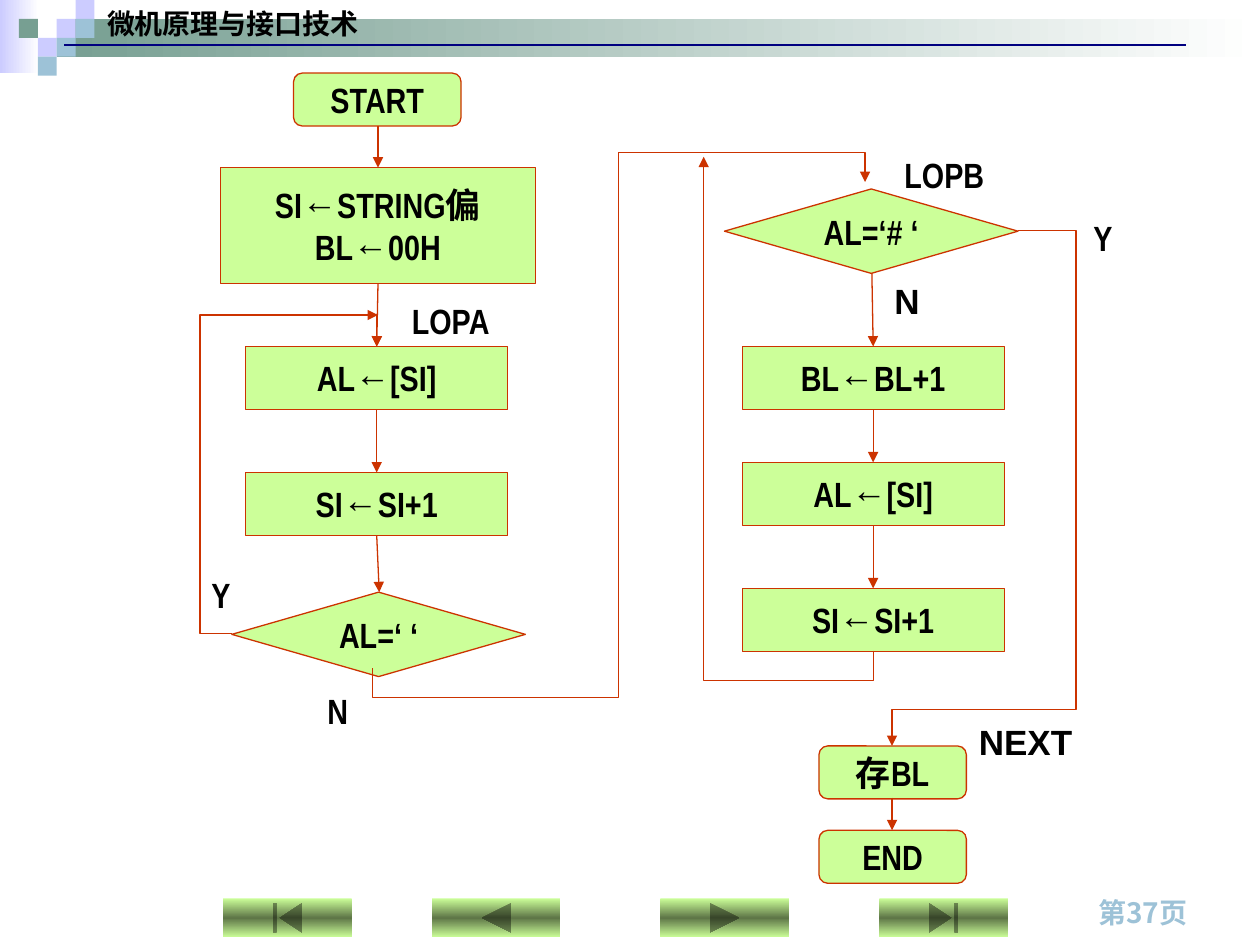
"""Build the flowchart slide on counting the characters of a string."""
from copy import deepcopy
from lxml import etree
from pptx import Presentation
from pptx.dml.color import RGBColor as Rgb
from pptx.enum import shapes as kinds, text as enum
from pptx.oxml.ns import qn
from pptx.util import Pt

PX = 9144
KIND = kinds.MSO_SHAPE


class Theme:
    box = Rgb.from_string("CCFF99")
    edge = Rgb.from_string("CC3300")
    ink = Rgb.from_string("000000")
    navy = Rgb.from_string("000080")
    lilac = Rgb.from_string("CCCCFF")
    green = Rgb.from_string("779F92")
    blue = Rgb.from_string("9DC2D7")
    olive = Rgb.from_string("5E7647")
    white = Rgb.from_string("FFFFFF")
    font, wide, asian = "Arial Narrow", "Arial", "Noto Sans CJK SC"
    small, big = Pt(16), Pt(20)
    thin, rule = Pt(0.75), Pt(1.25)


def write(shape, words, size=Theme.big, font=Theme.font, color=Theme.ink,
          align=enum.PP_ALIGN.LEFT, anchor=enum.MSO_ANCHOR.TOP, wrap=True):
    frame = shape.text_frame
    frame.text = words
    frame.auto_size = enum.MSO_AUTO_SIZE.NONE
    frame.word_wrap = wrap
    frame.vertical_anchor = anchor
    for para in frame.paragraphs:
        para.alignment = align
        for run in para.runs:
            run.font.size, run.font.name, run.font.bold = size, font, True
            run.font.color.rgb = color
            props = run.font.fill._xPr
            props.find(qn("a:latin")).addnext(
                etree.Element(qn("a:ea"), typeface=Theme.asian))


def link(start, stop, color=Theme.edge, width=Theme.thin, head=True,
         bends=(), turn=0):
    line = slide.shapes.add_connector(
        kinds.MSO_CONNECTOR.ELBOW if bends else kinds.MSO_CONNECTOR.STRAIGHT,
        *(n * PX for n in start + stop))
    line.line.color.rgb, line.line.width = color, width
    props = line.element.spPr
    if head:
        etree.SubElement(props.find(qn("a:ln")), qn("a:tailEnd"), type="triangle")
    etree.SubElement(props, qn("a:effectLst"))
    if bends:
        geom = props.find(qn("a:prstGeom"))
        geom.set("prst", f"bentConnector{len(bends) + 2}")
        guides = geom.find(qn("a:avLst"))
        for i, bend in enumerate(bends, 1):
            etree.SubElement(guides, qn("a:gd"), name=f"adj{i}",
                             fmla=f"val {round(bend * 100000)}")
        if len(bends) == 1:
            guides[0].set("name", "adj1")
        props.find(qn("a:xfrm")).set("rot", str(turn * 60000))


deck = Presentation()
deck.slide_width, deck.slide_height = 1000 * PX, 750 * PX
slide = deck.slides.add_slide(deck.slide_layouts[5])

bars = [
    (KIND.RECTANGLE, 0, 0, 31, 58, 0, (Theme.lilac, Theme.white)),
    (KIND.RECTANGLE, 45, 15, 955, 30, 0, (Theme.green, Theme.white)),
]
for kind, x in (
    (KIND.ACTION_BUTTON_BEGINNING, 177),
    (KIND.ACTION_BUTTON_BACK_OR_PREVIOUS, 343),
    (KIND.ACTION_BUTTON_FORWARD_OR_NEXT, 524),
    (KIND.ACTION_BUTTON_END, 698),
):
    bars.append((kind, x, 713, 102, 31, 90, (Theme.box, Theme.olive, Theme.box)))
for kind, x, y, w, h, angle, tints in bars:
    bar = slide.shapes.add_shape(kind, x * PX, y * PX, w * PX, h * PX)
    bar.shadow.inherit = False
    bar.line.fill.background()
    bar.fill.gradient()
    bar.fill.gradient_angle = angle
    stops = bar.element.spPr.find(qn("a:gradFill")).find(qn("a:gsLst"))
    while len(stops) < len(tints):
        stops.insert(1, deepcopy(stops[0]))
    for i, tint in enumerate(tints):
        stop = bar.fill.gradient_stops[i]
        stop.position = i / (len(tints) - 1)
        stop.color.rgb = tint

TILE = 15
for col, row, tint in (
    (3, 1, Theme.lilac), (4, 0, Theme.lilac), (4, 1, Theme.blue),
    (2, 2, Theme.lilac), (1, 1, Theme.green), (3, 2, Theme.blue),
    (2, 3, Theme.blue),
):
    tile = slide.shapes.add_shape(KIND.RECTANGLE, col * TILE * PX,
                                  row * TILE * PX, TILE * PX, TILE * PX)
    tile.shadow.inherit = False
    tile.fill.solid()
    tile.fill.fore_color.rgb = tint
    tile.line.fill.background()

title = slide.shapes.title
title.left, title.top, title.width, title.height = 75 * PX, 0, 866 * PX, 37 * PX
write(title, "微机原理与接口技术", size=Theme.small, font=Theme.asian)
slide.shapes._spTree.append(title.element)
link((51, 36), (941, 36), color=Theme.navy, width=Theme.rule, head=False)

PILL = KIND.FLOWCHART_ALTERNATE_PROCESS
RECT = KIND.RECTANGLE
TEST = KIND.FLOWCHART_DECISION
for kind, x, y, w, h, words in (
    (PILL, 233, 58, 133, 42, "START"),
    (RECT, 175, 133, 250, 92, "SI←STRING偏\nBL←00H"),
    (RECT, 195, 275, 208, 50, "AL←[SI]"),
    (RECT, 195, 375, 208, 50, "SI←SI+1"),
    (TEST, 184, 470, 233, 67, "AL=‘ ‘"),
    (TEST, 575, 150, 233, 67, "AL=‘# ‘"),
    (RECT, 589, 275, 208, 50, "BL←BL+1"),
    (RECT, 589, 367, 208, 50, "AL←[SI]"),
    (RECT, 589, 467, 208, 50, "SI←SI+1"),
    (PILL, 650, 592, 117, 42, "存BL"),
    (PILL, 650, 659, 117, 42, "END"),
):
    step = slide.shapes.add_shape(kind, x * PX, y * PX, w * PX, h * PX)
    step.shadow.inherit = False
    step.fill.solid()
    step.fill.fore_color.rgb = Theme.box
    step.line.color.rgb, step.line.width = Theme.edge, Theme.thin
    write(step, words, align=enum.PP_ALIGN.CENTER,
          anchor=enum.MSO_ANCHOR.MIDDLE, wrap=False)

for start, stop in (
    ((300, 100), (300, 133)), ((300, 225), (299, 275)),
    ((299, 325), (299, 375)), ((299, 425), (301, 470)),
    ((275, 250), (300, 250)), ((692, 217), (693, 275)),
    ((693, 325), (693, 367)), ((693, 417), (693, 467)),
    ((708, 633), (708, 659)),
):
    link(start, stop)

for start, stop, bends, turn in (
    ((299, 275), (184, 503), (-0.22, 1.11), 180),
    ((684, 533), (298, 142), (-0.06, 0.5, 1.06), 90),
    ((808, 183), (708, 592), (-0.46, 0.93), 0),
    ((430, 388), (822, 253), (-0.06,), 270),
):
    link(start, stop, bends=bends, turn=turn)

for x, y, w, words, font in (
    (317, 233, 117, "LOPA", Theme.font), (708, 117, 117, "LOPB", Theme.font),
    (158, 450, 42, "Y", Theme.font), (250, 542, 42, "N", Theme.font),
    (858, 167, 42, "Y", Theme.font), (700, 217, 42, "N", Theme.wide),
    (767, 567, 117, "NEXT", Theme.wide),
):
    label = slide.shapes.add_textbox(x * PX, y * PX, w * PX, 43 * PX)
    write(label, words, font=font)

page = slide.shapes.add_textbox(862 * PX, 706 * PX, 126 * PX, 37 * PX)
write(page, "第37页", size=Theme.small, font=Theme.asian, color=Theme.blue)

deck.save("out.pptx")
